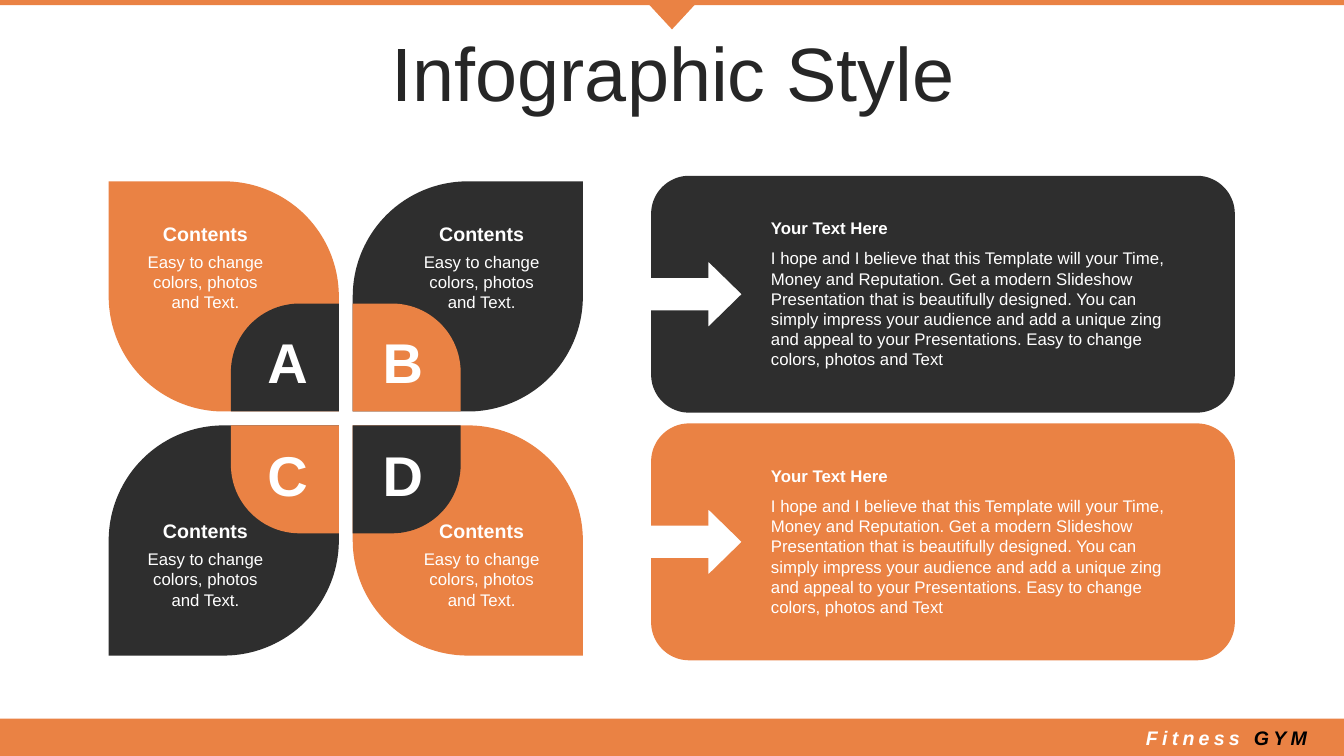
"""Build the Infographic Style slide with four petals and two text panels."""
from dataclasses import dataclass
from math import cos, pi, sin

from pptx import Presentation
from pptx.dml.color import RGBColor
from pptx.enum.shapes import MSO_SHAPE
from pptx.enum.text import MSO_ANCHOR, MSO_AUTO_SIZE, PP_ALIGN
from pptx.util import Cm, Pt


@dataclass(frozen=True)
class Theme:
    font: str = "Arial"
    orange: RGBColor = RGBColor(0xEA, 0x82, 0x44)
    dark: RGBColor = RGBColor(0x2E, 0x2E, 0x2E)
    title_color: RGBColor = RGBColor(0x26, 0x26, 0x26)
    white: RGBColor = RGBColor(0xFF, 0xFF, 0xFF)
    black: RGBColor = RGBColor(0, 0, 0)
    title: Pt = Pt(54)
    letter: Pt = Pt(40)
    heading: Pt = Pt(14)
    body: Pt = Pt(12)


theme = Theme()
presentation = Presentation()
presentation.slide_width = Cm(33.87)
presentation.slide_height = Cm(19.05)
slide = presentation.slides.add_slide(presentation.slide_layouts[5])


def add_outline(corners, color):
    """Draw a filled outline from (x, y, radius) corners in centimetres."""
    points = []
    for index, (x, y, radius) in enumerate(corners):
        if not radius:
            points.append((Cm(x), Cm(y)))
            continue
        arms = []
        for other_x, other_y, _ in (corners[index - 1], corners[(index + 1) % len(corners)]):
            length = abs(other_x - x) + abs(other_y - y)
            arms.append(((other_x - x) * radius / length, (other_y - y) * radius / length))
        (in_x, in_y), (out_x, out_y) = arms
        for step in range(25):
            angle = step * pi / 48
            toward_in, toward_out = 1 - sin(angle), 1 - cos(angle)
            points.append((Cm(x + in_x * toward_in + out_x * toward_out),
                           Cm(y + in_y * toward_in + out_y * toward_out)))
    builder = slide.shapes.build_freeform(*points[0], scale=1.0)
    builder.add_line_segments(points[1:], close=True)
    shape = builder.convert_to_shape()
    shape.shadow.inherit = False
    shape.fill.solid()
    shape.fill.fore_color.rgb = color
    shape.line.fill.background()


def add_text(text, left, top, width, height, size, bold=False, align=PP_ALIGN.CENTER):
    """Add a wrapped white text box measured in centimetres."""
    box = slide.shapes.add_textbox(Cm(left), Cm(top), Cm(width), Cm(height))
    box.text_frame.word_wrap = True
    paragraph = box.text_frame.paragraphs[0]
    paragraph.text = text
    paragraph.alignment = align
    paragraph.font.name = theme.font
    paragraph.font.size = size
    paragraph.font.bold = bold
    paragraph.font.color.rgb = theme.white
    return box


title = slide.shapes.title
title.left, title.top, title.width, title.height = Cm(0.89), Cm(0.94), Cm(32.16), Cm(2.01)
title.text_frame.text = "Infographic Style"
title.text_frame.auto_size = MSO_AUTO_SIZE.NONE
title.text_frame.vertical_anchor = MSO_ANCHOR.MIDDLE
paragraph = title.text_frame.paragraphs[0]
paragraph.alignment = PP_ALIGN.CENTER
paragraph.line_spacing = 0.9
paragraph.font.name = theme.font
paragraph.font.size = theme.title
paragraph.font.color.rgb = theme.title_color

square, rounded = 0, 0.5
bars = [
    (MSO_SHAPE.ISOSCELES_TRIANGLE, 16.25, 0, 1.37, 0.74, 180),
    (MSO_SHAPE.RECTANGLE, 0, 0, 33.87, 0.13, 0),
    (MSO_SHAPE.RECTANGLE, 0, 18.11, 33.87, 0.94, 0),
]
petal_size, petal_pitch = 5.8, 6.15
petals = [("A", 0, 0), ("B", 1, 0), ("C", 0, 1), ("D", 1, 1)]
blocks = [(*bar, theme.orange, ()) for bar in bars]
for letter, column, row in petals:
    diagonal = column == row
    blocks.append((
        MSO_SHAPE.ROUND_2_DIAG_RECTANGLE, 2.74 + column * petal_pitch,
        4.57 + row * petal_pitch, petal_size, petal_size, 0,
        theme.orange if diagonal else theme.dark,
        (square, rounded) if diagonal else (rounded, square)))
for kind, left, top, width, height, rotation, color, adjustments in blocks:
    shape = slide.shapes.add_shape(kind, Cm(left), Cm(top), Cm(width), Cm(height))
    shape.rotation = rotation
    shape.shadow.inherit = False
    shape.fill.solid()
    shape.fill.fore_color.rgb = color
    shape.line.fill.background()
    for index, value in enumerate(adjustments):
        shape.adjustments[index] = value

badge_size, badge_radius = 2.72, 1.73
for letter, column, row in petals:
    inner_x, inner_y = 8.54 + column * 0.35, 10.37 + row * 0.35
    outer_x = inner_x + (2 * column - 1) * badge_size
    outer_y = inner_y + (2 * row - 1) * badge_size
    add_outline([(inner_x, inner_y, 0), (outer_x, inner_y, 0),
                 (outer_x, outer_y, badge_radius), (inner_x, outer_y, 0)],
                theme.dark if column == row else theme.orange)
    add_text(letter, 6.45 + column * 2.9, 8.13 + row * 2.84, 1.6, 1.96, theme.letter, True)
    text_left, text_top = 3.35 + column * 6.96, 5.46 + row * 7.49
    add_text("Contents", text_left, text_top, 3.66, 0.71, theme.heading, True)
    add_text("Easy to change colors, photos and Text.",
             text_left, text_top + 0.76, 3.66, 1.73, theme.body)

panel_left, panel_right, panel_height, panel_radius = 16.41, 31.12, 5.97, 0.96
shaft_end, arrow_tip = panel_left + 1.44, panel_left + 2.28
for top, color in ((4.43, theme.dark), (10.67, theme.orange)):
    bottom = top + panel_height
    middle = top + panel_height / 2
    add_outline([
        (panel_left, top, panel_radius), (panel_right, top, panel_radius),
        (panel_right, bottom, panel_radius), (panel_left, bottom, panel_radius),
        (panel_left, middle + 0.41, 0), (shaft_end, middle + 0.41, 0),
        (shaft_end, middle + 0.82, 0), (arrow_tip, middle, 0),
        (shaft_end, middle - 0.82, 0), (shaft_end, middle - 0.41, 0),
        (panel_left, middle - 0.41, 0)], color)
    add_text("Your Text Here", 19.18, top + 0.94, 10.9, 0.76, theme.body, True, PP_ALIGN.LEFT)
    add_text("I hope and I believe that this Template will your Time, Money and Reputation. "
             "Get a modern Slideshow Presentation that is beautifully designed. You can simply "
             "impress your audience and add a unique zing and appeal to your Presentations. "
             "Easy to change colors, photos and Text",
             19.18, top + 1.7, 10.9, 3.33, theme.body, align=PP_ALIGN.LEFT)

footer = add_text("Fitness ", 28.55, 18.14, 4.72, 0.91, theme.heading, True)
footer.text_frame.vertical_anchor = MSO_ANCHOR.MIDDLE
paragraph = footer.text_frame.paragraphs[0]
paragraph.font.italic = True
gym = paragraph.add_run()
gym.text = "GYM"
gym.font.color.rgb = theme.black
for run in paragraph.runs:
    run._r.get_or_add_rPr().set("spc", "300")

presentation.save("out.pptx")
